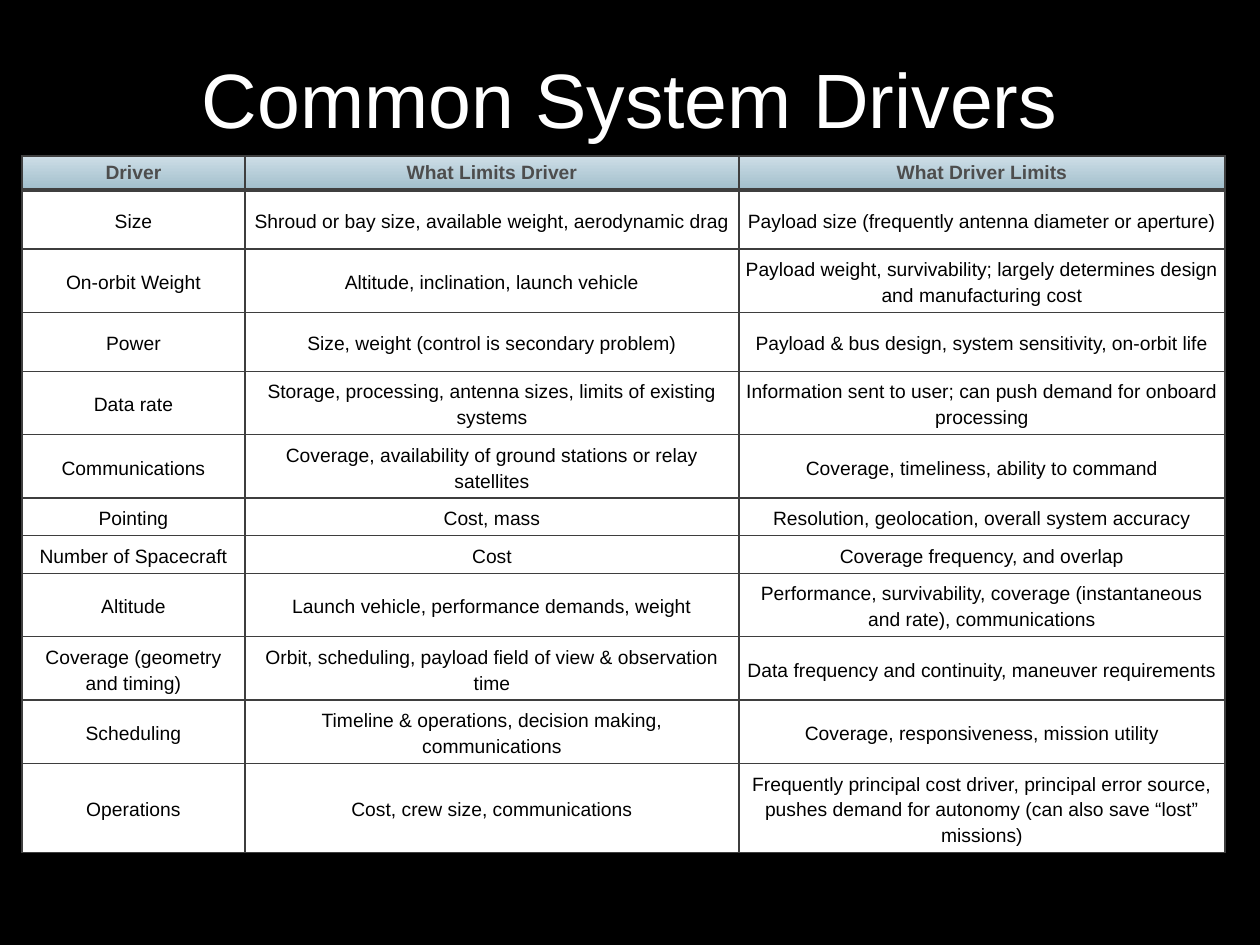
from dataclasses import dataclass

from lxml import etree
from pptx import Presentation
from pptx.dml.color import RGBColor
from pptx.enum.text import MSO_ANCHOR, PP_ALIGN
from pptx.oxml.ns import qn
from pptx.util import Emu, Pt

PX = 914400 // 126
FONT = "Arial"
CENTER = PP_ALIGN.CENTER
MIDDLE = MSO_ANCHOR.MIDDLE
CELL_MARGIN = 6


@dataclass
class Driver:
    name: str
    limited_by: str
    limits: str
    height: int


@dataclass
class Border:
    color: str
    width: float


INNER = Border("3E3E3E", 0.75)
OUTER = Border("3F3F3F", 1)
HEADER_RULE = Border("3F3F3F", 2)

COLUMN_WIDTHS = [223, 494, 486]
ROWS = [
    Driver("Driver", "What Limits Driver", "What Driver Limits", 34),
    Driver("Size", "Shroud or bay size, available weight, aerodynamic drag",
           "Payload size (frequently antenna diameter or aperture)", 59),
    Driver("On-orbit Weight", "Altitude, inclination, launch vehicle",
           "Payload weight, survivability; largely determines design and manufacturing cost", 62),
    Driver("Power", "Size, weight (control is secondary problem)",
           "Payload & bus design, system sensitivity, on-orbit life", 59),
    Driver("Data rate", "Storage, processing, antenna sizes, limits of existing systems",
           "Information sent to user; can push demand for onboard processing", 63),
    Driver("Communications", "Coverage, availability of ground stations or relay satellites",
           "Coverage, timeliness, ability to command", 63),
    Driver("Pointing", "Cost, mass", "Resolution, geolocation, overall system accuracy", 37),
    Driver("Number of Spacecraft", "Cost", "Coverage frequency, and overlap", 37),
    Driver("Altitude", "Launch vehicle, performance demands, weight",
           "Performance, survivability, coverage (instantaneous and rate), communications", 63),
    Driver("Coverage (geometry and timing)",
           "Orbit, scheduling, payload field of view & observation time",
           "Data frequency and continuity, maneuver requirements", 63),
    Driver("Scheduling", "Timeline & operations, decision making, communications",
           "Coverage, responsiveness, mission utility", 63),
    Driver("Operations", "Cost, crew size, communications",
           "Frequently principal cost driver, principal error source, pushes demand "
           "for autonomy (can also save “lost” missions)", 89),
]


def px(length: int) -> Emu:
    return Emu(length * PX)


def rgb(color: str) -> RGBColor:
    return RGBColor.from_string(color)


def style_text(paragraph, size: int, color: str, bold: bool = False) -> None:
    paragraph.alignment = CENTER
    for run in paragraph.runs:
        run.font.name = FONT
        run.font.size = Pt(size)
        run.font.bold = bold
        run.font.color.rgb = rgb(color)


def add_border(cell, side: str, border: Border) -> None:
    line = etree.SubElement(cell._tc.get_or_add_tcPr(), qn(f"a:ln{side}"),
                            w=str(Pt(border.width)))
    fill = etree.SubElement(line, qn("a:solidFill"))
    etree.SubElement(fill, qn("a:srgbClr"), val=border.color)


def add_borders(cell, row: int, column: int) -> None:
    last_row, last_column = len(ROWS) - 1, len(COLUMN_WIDTHS) - 1
    top = {0: OUTER, 1: HEADER_RULE}.get(row, INNER)
    bottom = {0: HEADER_RULE, last_row: OUTER}.get(row, INNER)
    add_border(cell, "L", OUTER if column == 0 else INNER)
    add_border(cell, "R", OUTER if column == last_column else INNER)
    add_border(cell, "T", top)
    add_border(cell, "B", bottom)


def fill_header(cell) -> None:
    cell.fill.gradient()
    cell.fill.gradient_angle = 270
    for stop, color in zip(cell.fill.gradient_stops, ("CEDEE7", "A0BECB")):
        stop.color.rgb = rgb(color)
    for stop, position in zip(cell.fill.gradient_stops, (0, 1)):
        stop.position = position


def fill_body(cell) -> None:
    cell.fill.solid()
    cell.fill.fore_color.rgb = rgb("FFFFFF")


def draw_cell(cell, text: str, row: int, column: int) -> None:
    cell.margin_left = cell.margin_right = px(CELL_MARGIN)
    cell.margin_top = cell.margin_bottom = px(CELL_MARGIN)
    cell.vertical_anchor = MIDDLE
    cell.text_frame.text = text
    paragraph = cell.text_frame.paragraphs[0]
    add_borders(cell, row, column)
    if row == 0:
        style_text(paragraph, 11, "4D4D4D", bold=True)
        fill_header(cell)
    else:
        style_text(paragraph, 11, "000000")
        paragraph.line_spacing = 1.2
        fill_body(cell)


def draw_table(slide, left: int, top: int) -> None:
    height = sum(driver.height for driver in ROWS)
    table = slide.shapes.add_table(
        len(ROWS), len(COLUMN_WIDTHS), px(left), px(top),
        px(sum(COLUMN_WIDTHS)), px(height)).table
    table.horz_banding = False
    for column, width in enumerate(COLUMN_WIDTHS):
        table.columns[column].width = px(width)
    for row, driver in enumerate(ROWS):
        table.rows[row].height = px(driver.height)
        for column, text in enumerate((driver.name, driver.limited_by, driver.limits)):
            draw_cell(table.cell(row, column), text, row, column)


def draw_title(slide, text: str) -> None:
    title = slide.shapes.title
    title.left, title.top, title.width, title.height = px(63), px(0), px(1134), px(195)
    title.text_frame.text = text
    title.text_frame.vertical_anchor = MIDDLE
    style_text(title.text_frame.paragraphs[0], 44, "FFFFFF")


def main() -> None:
    deck = Presentation()
    deck.slide_width, deck.slide_height = px(1260), px(945)
    slide = deck.slides.add_slide(deck.slide_layouts[5])

    # Black background
    slide.background.fill.solid()
    slide.background.fill.fore_color.rgb = rgb("000000")

    # Title and table of drivers
    draw_title(slide, "Common System Drivers")
    draw_table(slide, left=22, top=156)
    deck.save("out.pptx")


if __name__ == "__main__":
    main()
